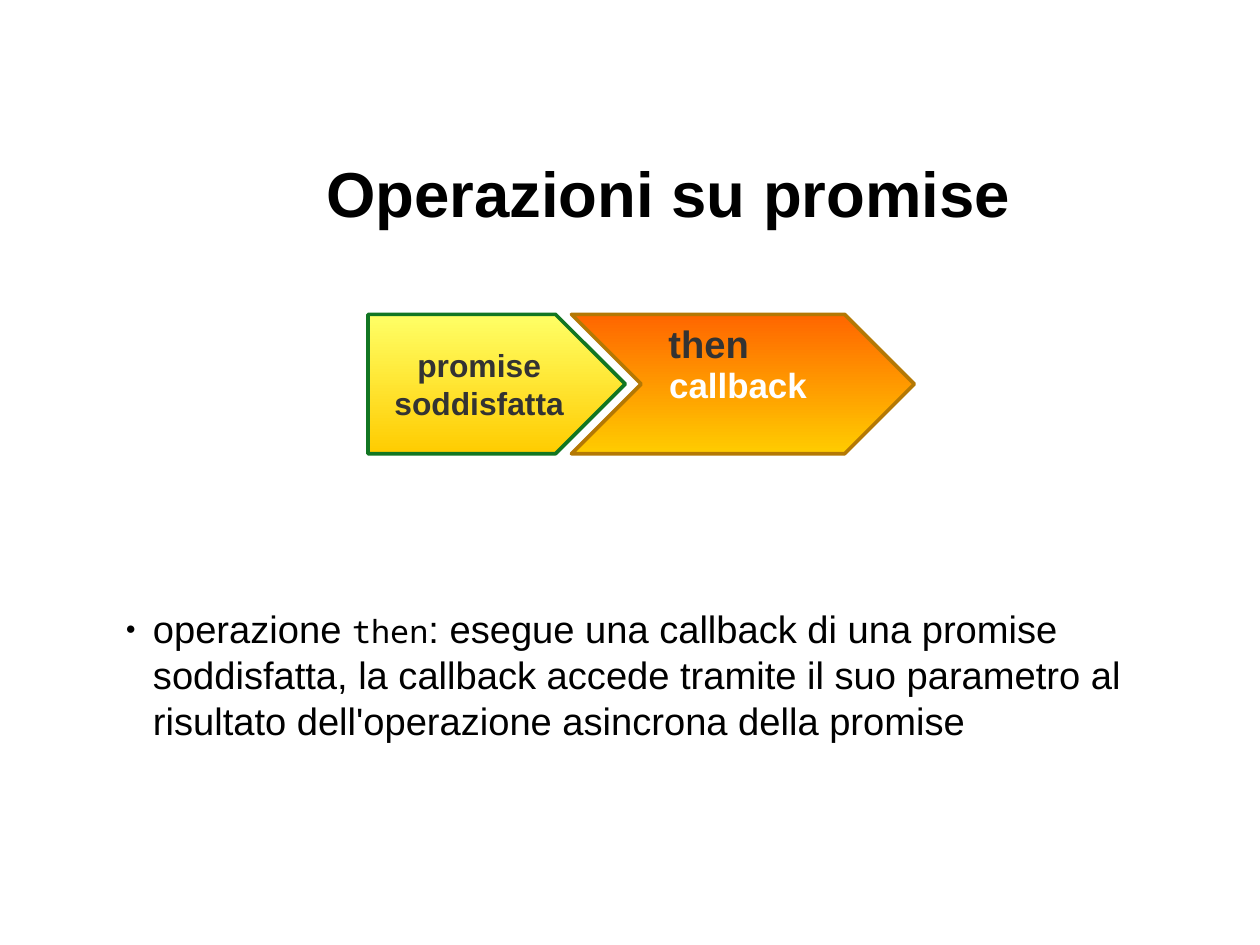
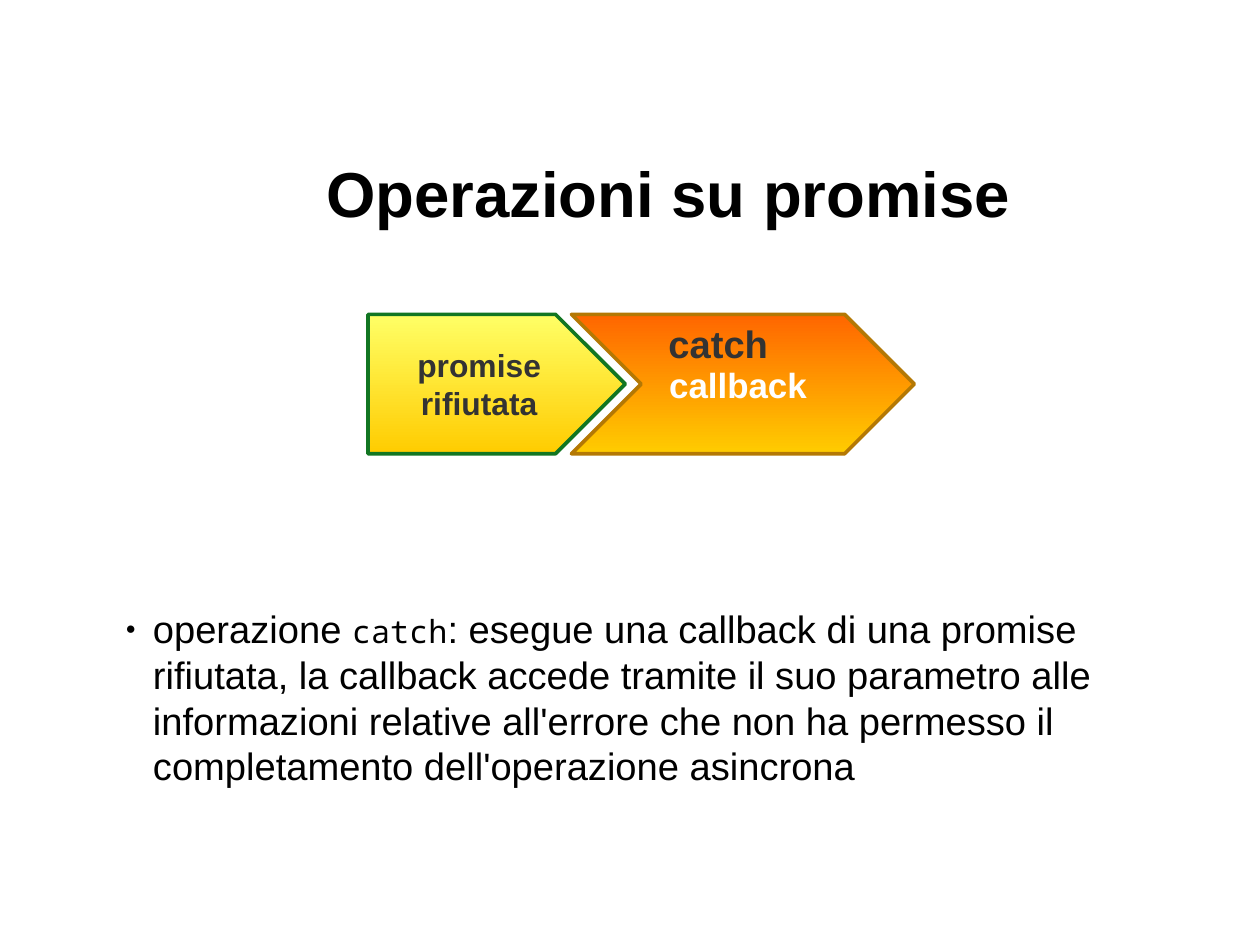
from pptx import Presentation
from pptx.dml.color import RGBColor
from pptx.enum.shapes import MSO_SHAPE
from pptx.enum.text import MSO_ANCHOR, MSO_AUTO_SIZE, PP_ALIGN
from pptx.oxml.ns import qn
from pptx.util import Inches, Pt
from lxml.etree import SubElement

COLORS = {
    "text": "000000", "label": "333333", "light": "FFFFFF",
    "yellow": "FFFF66", "gold": "FFCC00", "orange": "FF6600",
    "green_edge": "127622", "brown_edge": "B47804",
}
SANS, MONO = "Arial", "Noto Sans Mono"
CM_PER_INCH = 2.54
SLIDE_WIDTH, SLIDE_HEIGHT = Inches(28 / CM_PER_INCH), Inches(21 / CM_PER_INCH)
TITLE = "Operazioni su promise"
TITLE_BOX = (1.26, 1.39, 9.17, 0.62)
DIAGRAM_BOX = (3.22, 2.75, 4.78, 1.22)
OPERATIONS = [
    ("then", "soddisfatta", 1.49,
     "al risultato dell'operazione asincrona della promise"),
    ("catch", "rifiutata", 1.75,
     "alle informazioni relative all'errore che non ha permesso "
     "il completamento dell'operazione asincrona"),
]


def rgb(name):
    """Return the palette colour with this name."""
    return RGBColor.from_string(COLORS[name])


def add_run(paragraph, text, size, color, bold=False, font=SANS):
    """Append one formatted run to a paragraph."""
    run = paragraph.add_run()
    run.text = text
    run.font.name = font
    run.font.size = Pt(size)
    run.font.bold = bold
    run.font.color.rgb = rgb(color)


def set_frame(frame, margins, anchor=MSO_ANCHOR.TOP):
    """Set wrapping, margins and anchor, and return the first paragraph."""
    frame.word_wrap = True
    frame.vertical_anchor = anchor
    (frame.margin_left, frame.margin_top,
     frame.margin_right, frame.margin_bottom) = map(Inches, margins)
    return frame.paragraphs[0]


def add_growing_text(slide, box):
    """Add a text box that grows with its text and return its paragraph."""
    frame = slide.shapes.add_textbox(*map(Inches, box)).text_frame
    paragraph = set_frame(frame, (0.1, 0.05, 0.1, 0.05))
    frame.auto_size = MSO_AUTO_SIZE.SHAPE_TO_FIT_TEXT
    return paragraph


def add_title(slide, box):
    """Place the shared slide title."""
    frame = slide.shapes.add_textbox(*map(Inches, box)).text_frame
    paragraph = set_frame(frame, (0, 0.04, 0, 0), MSO_ANCHOR.MIDDLE)
    paragraph.alignment = PP_ALIGN.CENTER
    paragraph.line_spacing = 0.93
    add_run(paragraph, TITLE, 40, "text", bold=True)


def add_step(slide, preset, box, top, bottom, edge, label, size, color):
    """Place one arrow-shaped step with a vertical gradient."""
    step = slide.shapes.add_shape(preset, *map(Inches, box))
    step.shadow.inherit = False
    step.adjustments[0] = 0.5
    step.fill.gradient()
    step.fill.gradient_angle = 270
    for stop, name in zip(step.fill.gradient_stops, (top, bottom)):
        stop.color.rgb = rgb(name)
    step.line.color.rgb = rgb(edge)
    step.line.width = Pt(2.3)
    paragraph = set_frame(step.text_frame, (0.11, 0.06, 0.11, 0.06),
                          MSO_ANCHOR.MIDDLE)
    paragraph.alignment = PP_ALIGN.CENTER
    add_run(paragraph, label, size, color, bold=True)


def add_diagram(slide, box, operation, state):
    """Place the promise step, the callback step and the operation name."""
    left, top, width, height = box
    promise_width, callback_width = 2.25, 3
    callback_left = left + width - callback_width
    add_step(slide, MSO_SHAPE.PENTAGON, (left, top, promise_width, height),
             "yellow", "gold", "green_edge", f"promise {state}", 20, "label")
    add_step(slide, MSO_SHAPE.CHEVRON,
             (callback_left, top, callback_width, height),
             "orange", "gold", "brown_edge", "callback ", 22, "light")
    name = add_growing_text(slide, (callback_left + 0.75, top, 1.25, 0.47))
    add_run(name, operation, 24, "label", bold=True)


def add_description(slide, box, operation, state, result):
    """Place the bulleted explanation of the operation."""
    paragraph = add_growing_text(slide, box)
    properties = paragraph._p.get_or_add_pPr()
    properties.set("marL", str(Inches(0.24)))
    properties.set("indent", str(Inches(-0.24)))
    bullet_color = SubElement(properties, qn("a:buClr"))
    SubElement(bullet_color, qn("a:srgbClr"), val=COLORS["text"])
    SubElement(properties, qn("a:buSzPct"), val="45000")
    SubElement(properties, qn("a:buFont"), typeface=SANS)
    SubElement(properties, qn("a:buChar"), char="●")
    add_run(paragraph, "operazione ", 24, "text")
    add_run(paragraph, operation, 20, "text", font=MONO)
    add_run(paragraph, f": esegue una callback di una promise {state}, "
            f"la callback accede tramite il suo parametro {result}",
            24, "text")


def add_operation_slide(deck, operation, state, text_height, result):
    """Build one slide about a promise operation."""
    slide = deck.slides.add_slide(deck.slide_layouts[6])
    add_title(slide, TITLE_BOX)
    add_description(slide, (1, 5.25, 9.7, text_height),
                    operation, state, result)
    add_diagram(slide, DIAGRAM_BOX, operation, state)


def main():
    """Build and save the deck."""
    deck = Presentation()
    deck.slide_width, deck.slide_height = SLIDE_WIDTH, SLIDE_HEIGHT
    for content in OPERATIONS:
        add_operation_slide(deck, *content)
    deck.save("out.pptx")


if __name__ == "__main__":
    main()
